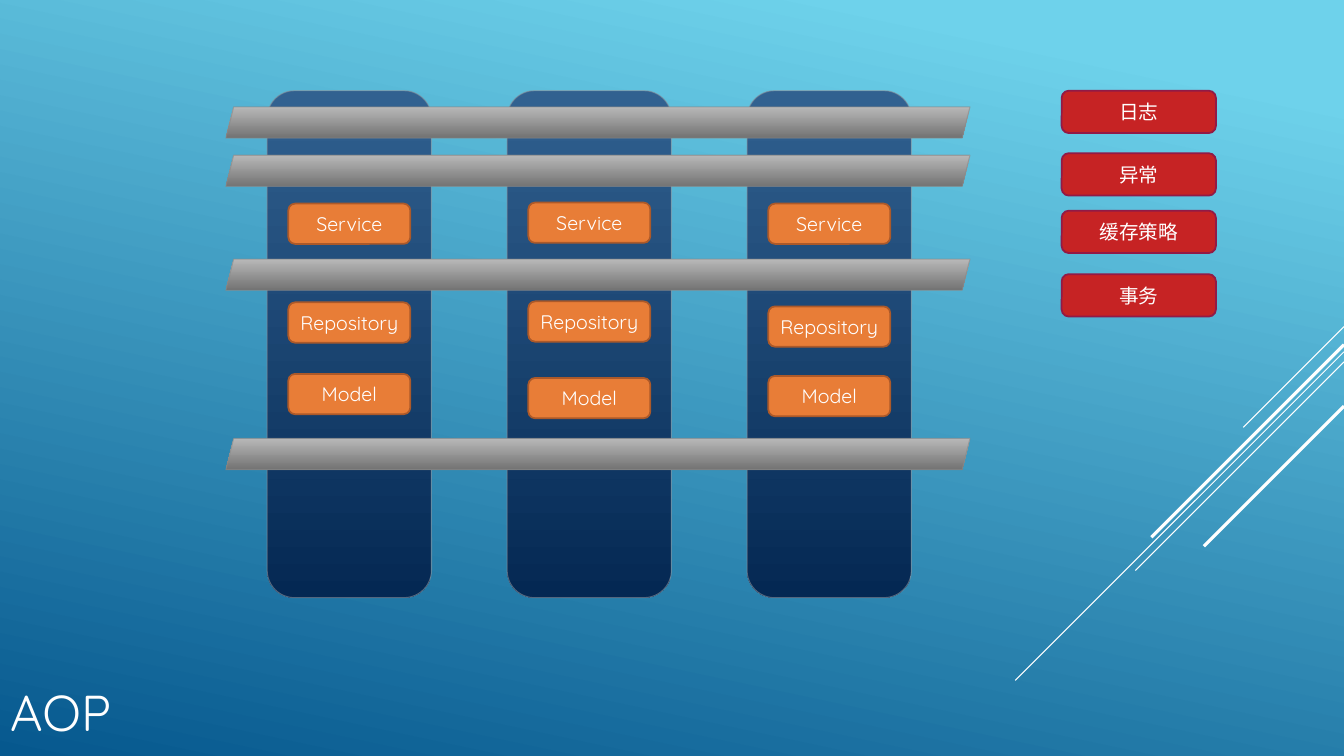
"""Build the AOP slide: layered columns crossed by aspect bars."""
from dataclasses import dataclass
from typing import Any

from lxml.etree import SubElement
from pptx import Presentation
from pptx.dml.color import RGBColor
from pptx.dml.fill import FillFormat
from pptx.enum.shapes import MSO_CONNECTOR as Connector, MSO_SHAPE as Preset
from pptx.enum.text import MSO_ANCHOR as Anchor, PP_ALIGN as Align
from pptx.oxml.ns import qn
from pptx.shapes.autoshape import Shape
from pptx.slide import Slide
from pptx.text.text import TextFrame
from pptx.util import Inches, Pt

FONT = "Quicksand"
WHITE = "FFFFFF"


@dataclass(frozen=True)
class Style:
    """Look of one kind of shape; two fill colours make a vertical gradient."""
    preset: Preset
    width: float
    height: float
    fill: tuple[str, ...]
    line: str
    line_width: float
    line_alpha: int = 100


@dataclass(frozen=True)
class Column:
    """A column with the tops of its layer boxes."""
    left: float
    tops: tuple[float, float, float]


@dataclass(frozen=True)
class Ray:
    """A diagonal line from the right edge down to the left."""
    top: float
    run: float
    width: float


COLUMN = Style(Preset.ROUNDED_RECTANGLE, 1.63, 5.03, ("316190", "042853"), "89919C", 0.75, 60)
LAYER = Style(Preset.ROUNDED_RECTANGLE, 1.21, 0.4, ("E87D37",), "AC5929", 1.25)
BAR = Style(Preset.PARALLELOGRAM, 7.38, 0.31, ("B8B8B8", "737373"), "898989", 0.75, 60)
ASPECT = Style(Preset.ROUNDED_RECTANGLE, 1.53, 0.42, ("C62324",), "921A46", 1.25)

LAYER_NAMES = ("Service", "Repository", "Model")
COLUMNS = (
    Column(2.65, (2.02, 3, 3.71)),
    Column(5.03, (2.01, 2.99, 3.75)),
    Column(7.41, (2.02, 3.04, 3.73)),
)
BAR_TOPS = (1.06, 1.54, 2.57, 4.35)
ASPECTS = {"日志": 0.9, "异常": 1.52, "缓存策略": 2.09, "事务": 2.72}
RAYS = (
    Ray(3.24, 1, 0.75),
    Ray(3.49, 3.26, 0.75),
    Ray(3.59, 2.07, 0.75),
    Ray(3.42, 1.91, 2.25),
    Ray(4.03, 1.39, 2.25),
)


def color(value: str) -> RGBColor:
    """Turn a hex string into a colour."""
    return RGBColor.from_string(value)


def apply_format(target: Any, values: dict[str, Any]) -> None:
    """Set each named attribute on the target."""
    for name, value in values.items():
        setattr(target, name, value)


def fill_gradient(fill: FillFormat, stops: dict[float, str], angle: float) -> None:
    """Fill with a two-stop gradient; the angle runs clockwise."""
    fill.gradient()
    fill.gradient_angle = 360 - angle
    for stop, (position, value) in zip(fill.gradient_stops, stops.items()):
        stop.position = position
        stop.color.rgb = color(value)


def write_text(frame: TextFrame, text: str, size: float, align: Align) -> None:
    """Write one formatted paragraph, anchored in the middle."""
    apply_format(frame, {"text": text, "vertical_anchor": Anchor.MIDDLE, "word_wrap": True})
    paragraph = frame.paragraphs[0]
    paragraph.alignment = align
    font = paragraph.runs[0].font
    apply_format(font, {"name": FONT, "size": Pt(size)})
    font.color.rgb = color(WHITE)


def add_styled(slide: Slide, style: Style, left: float, top: float, text: str = "") -> Shape:
    """Add a shape in the given style, with optional centred text."""
    shape = slide.shapes.add_shape(
        style.preset, Inches(left), Inches(top), Inches(style.width), Inches(style.height))
    shape.shadow.inherit = False
    if len(style.fill) == 2:
        fill_gradient(shape.fill, dict(zip((0, 1), style.fill)), 90)
    else:
        shape.fill.solid()
        shape.fill.fore_color.rgb = color(style.fill[0])
    shape.line.width = Pt(style.line_width)
    shape.line.color.rgb = color(style.line)
    if style.line_alpha < 100:
        line_color = shape.element.xpath(".//a:ln//a:srgbClr")[0]
        SubElement(line_color, qn("a:alpha")).set("val", str(style.line_alpha * 1000))
    if text:
        frame = shape.text_frame
        apply_format(frame, dict.fromkeys(("margin_left", "margin_right"), Inches(0.05)))
        write_text(frame, text, 14, Align.CENTER)
    return shape


def add_ray(slide: Slide, ray: Ray, right: float) -> None:
    """Add one white diagonal line."""
    connector = slide.shapes.add_connector(
        Connector.STRAIGHT, Inches(right), Inches(ray.top),
        Inches(right - ray.run), Inches(ray.top + ray.run))
    connector.line.width = Pt(ray.width)
    connector.line.color.rgb = color(WHITE)
    SubElement(connector.element.spPr, qn("a:effectLst"))


def add_column(slide: Slide, column: Column) -> None:
    """Add a column and centre its layer boxes in it."""
    add_styled(slide, COLUMN, column.left, 0.9)
    layer_left = column.left + (COLUMN.width - LAYER.width) / 2
    for name, top in zip(LAYER_NAMES, column.tops):
        add_styled(slide, LAYER, layer_left, top, name)


def add_title(slide: Slide, text: str) -> None:
    """Move the title placeholder to the lower left and fill it."""
    title = slide.shapes.title
    apply_format(title, {"left": Inches(0), "top": Inches(6.23),
                         "width": Inches(9.33), "height": Inches(1.65)})
    write_text(title.text_frame, text, 36, Align.LEFT)


def main() -> None:
    """Build and save the presentation."""
    presentation = Presentation()
    apply_format(presentation, {"slide_width": Inches(13.33), "slide_height": Inches(7.5)})
    slide = presentation.slides.add_slide(presentation.slide_layouts.get_by_name("Title Only"))
    fill_gradient(slide.background.fill, {0.1: "6ED2EB", 1: "06588E"}, 102)
    for ray in RAYS:
        add_ray(slide, ray, 13.33)
    add_title(slide, "AOP")
    for column in COLUMNS:
        add_column(slide, column)
    for top in BAR_TOPS:
        add_styled(slide, BAR, 2.24, top)
    for name, top in ASPECTS.items():
        add_styled(slide, ASPECT, 10.53, top, name)
    presentation.save("out.pptx")


main()
